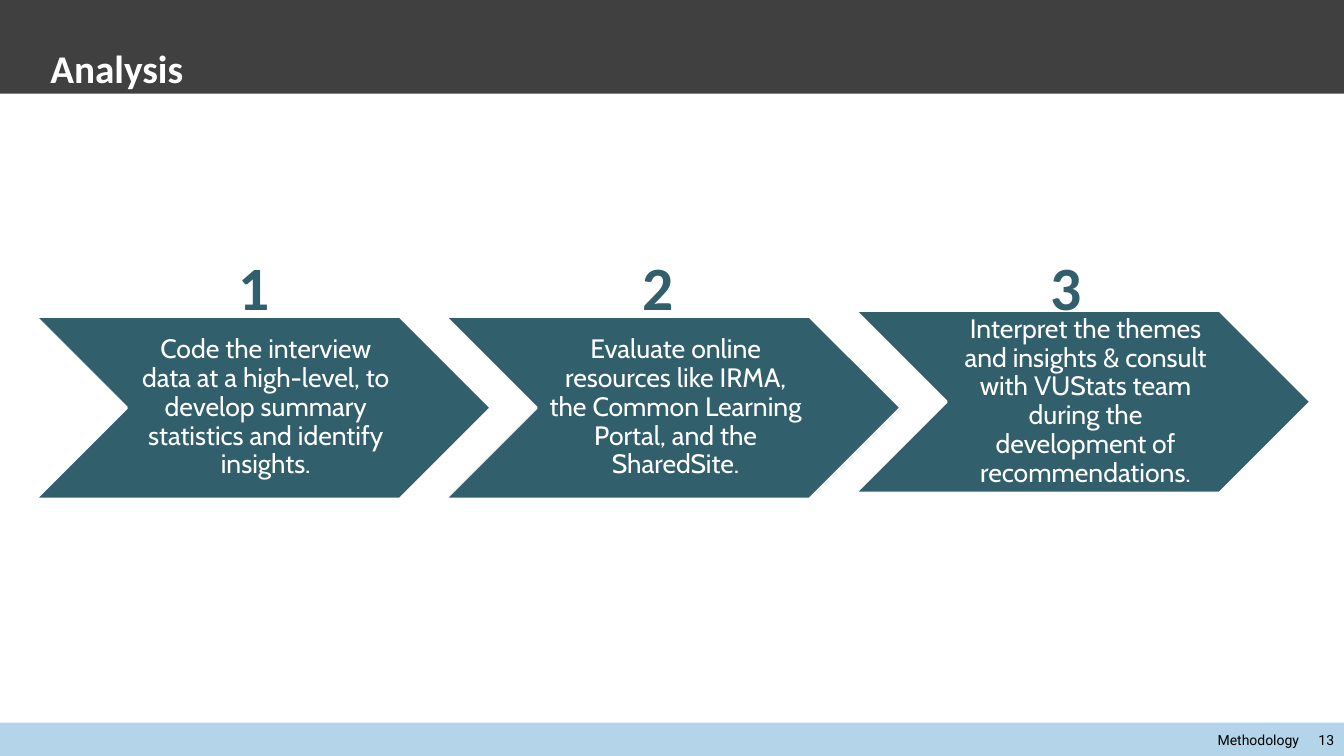
import pptx
import pptx.dml.color
import pptx.enum.shapes
import pptx.enum.text
import pptx.util
from lxml import etree
from pptx.oxml.ns import qn

ALIGN = pptx.enum.text.PP_ALIGN
ANCHOR = pptx.enum.text.MSO_ANCHOR
SHAPE = pptx.enum.shapes.MSO_SHAPE

DARK, TEAL, BLUE, WHITE, BLACK = "404040", "325F6C", "82BADB", "FFFFFF", "000000"

# Lengths are percentages of the slide's width (left, width) and height (top, height).
FIRST_LEFT, STEP_PITCH = 2.63, 30.5
CHEVRON_WIDTH, CHEVRON_HEIGHT = 33.91, 24.13
STEPS = [  # number left, chevron top, text
    (17.03, 41.87, "Code the interview data at a high-level, to develop summary "
                   "statistics and identify insights."),
    (47.04, 41.87, "Evaluate online resources like IRMA, the Common Learning "
                   "Portal, and the SharedSite."),
    (77.42, 41.07, "Interpret the themes and insights & consult with VUStats team "
                   "during the development of recommendations."),
]


def color(hex_text):
    return pptx.dml.color.RGBColor.from_string(hex_text)


class SlideBuilder:
    def __init__(self, presentation):
        self.width = presentation.slide_width
        self.height = presentation.slide_height
        self.slide = presentation.slides.add_slide(presentation.slide_layouts[6])

    def place(self, left, top, width, height):
        """Turn percentages of the slide into lengths."""
        return (int(left * self.width / 100), int(top * self.height / 100),
                int(width * self.width / 100), int(height * self.height / 100))

    def shape(self, kind, box, fill, line=None, opacity=None):
        shape = self.slide.shapes.add_shape(kind, *self.place(*box))
        shape.shadow.inherit = False
        shape.fill.solid()
        shape.fill.fore_color.rgb = color(fill)
        if opacity:
            fill_color = shape.fill._xPr.find(qn("a:solidFill"))[0]
            etree.SubElement(fill_color, qn("a:alpha"), val=str(opacity * 1000))
        if line:
            shape.line.color.rgb = color(line)
            shape.line.width = pptx.util.Pt(2)
        else:
            shape.line.fill.background()

    def text(self, box, text, font, size, fill, bold=False, align=ALIGN.LEFT,
             anchor=ANCHOR.TOP, insets=(0.1, 0.05, 0.1, 0.05), spacing=None):
        """Add a text box; insets are left, top, right, bottom in inches."""
        frame = self.slide.shapes.add_textbox(*self.place(*box)).text_frame
        frame.word_wrap = True
        frame.vertical_anchor = anchor
        (frame.margin_left, frame.margin_top,
         frame.margin_right, frame.margin_bottom) = map(pptx.util.Inches, insets)
        paragraph = frame.paragraphs[0]
        paragraph.text = text
        paragraph.alignment = align
        if spacing:
            paragraph.line_spacing = spacing
        paragraph.font.name = font
        paragraph.font.size = pptx.util.Pt(size)
        paragraph.font.bold = bold
        paragraph.font.color.rgb = color(fill)

    def step(self, index, number_left, top, text):
        """Add a chevron with its text and the number above it."""
        left = FIRST_LEFT + index * STEP_PITCH
        self.shape(SHAPE.CHEVRON, (left, top, CHEVRON_WIDTH, CHEVRON_HEIGHT), TEAL, WHITE)
        self.text((left + 0.2 * CHEVRON_WIDTH, top, 0.6 * CHEVRON_WIDTH, CHEVRON_HEIGHT),
                  text, "Cabin", 19, WHITE, align=ALIGN.CENTER, anchor=ANCHOR.MIDDLE,
                  insets=(0.08, 0.03, 0.03, 0.03), spacing=0.9)
        self.text((number_left, 32.27, 3.68, 11.2), str(index + 1),
                  "Calibri", 44, TEAL, bold=True)


def main():
    presentation = pptx.Presentation()
    presentation.slide_width = pptx.util.Inches(13.33)
    presentation.slide_height = pptx.util.Inches(7.5)
    builder = SlideBuilder(presentation)

    builder.shape(SHAPE.RECTANGLE, (0, 0, 100, 12.4), DARK)
    builder.shape(SHAPE.RECTANGLE, (0, 95.6, 100, 4.4), BLUE, opacity=60)
    builder.text((3.75, 0.27, 86.57, 11.87), "Analysis", "Calibri", 28, WHITE, bold=True,
                 anchor=ANCHOR.BOTTOM, insets=(0, 0.05, 0.1, 0))
    for index, step in enumerate(STEPS):
        builder.step(index, *step)
    builder.text((76.67, 96, 23.33, 3.73), "Methodology \t13", "Roboto", 10, BLACK,
                 align=ALIGN.RIGHT, anchor=ANCHOR.MIDDLE)

    presentation.save("out.pptx")


if __name__ == "__main__":
    main()
